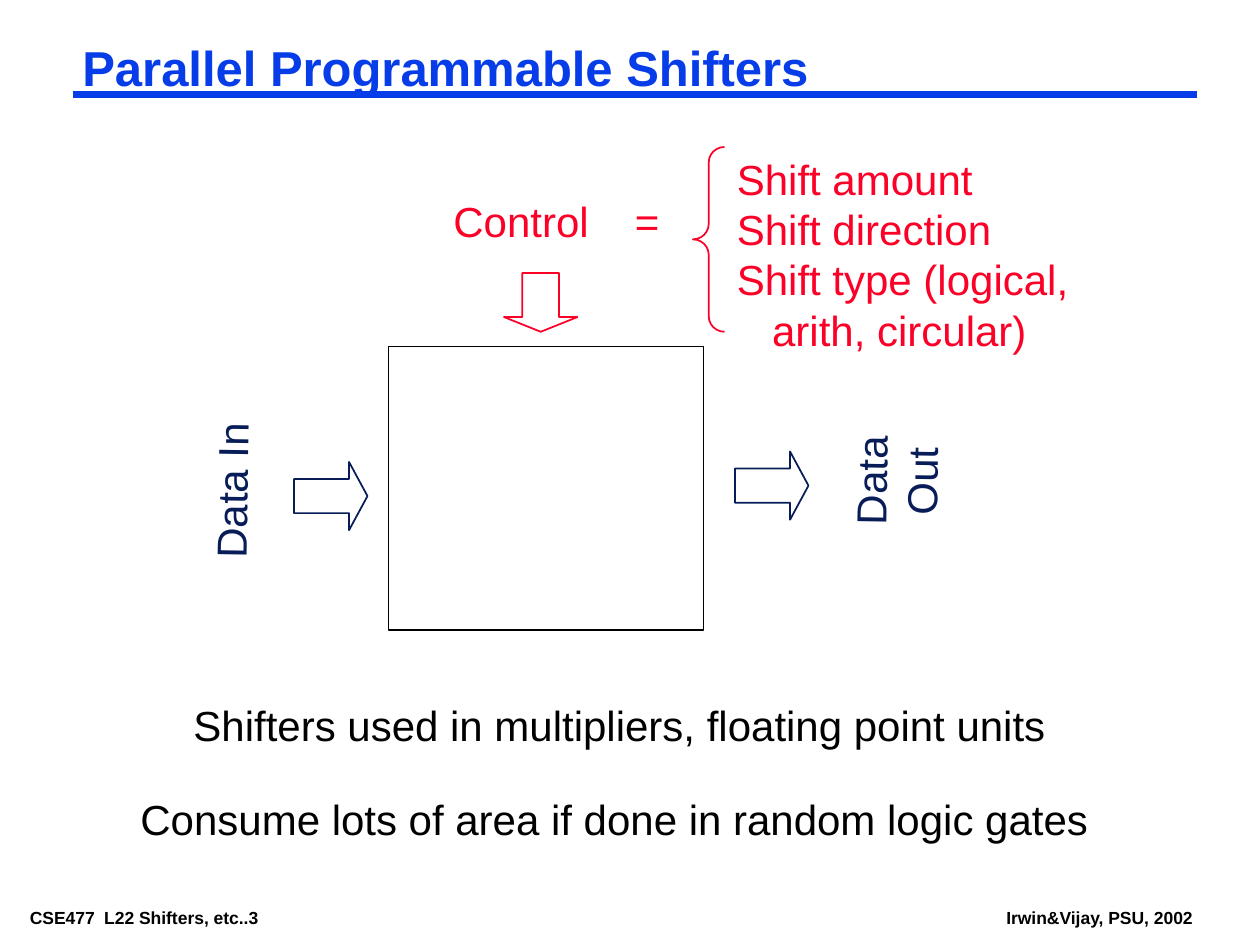
from lxml.etree import SubElement
from pptx import Presentation
from pptx.dml.color import RGBColor
from pptx.enum.shapes import MSO_CONNECTOR, MSO_SHAPE
from pptx.enum.text import MSO_ANCHOR, MSO_AUTO_SIZE, PP_ALIGN
from pptx.oxml.ns import qn
from pptx.util import Inches, Pt

BLUE, NAVY, RED, BLACK = "063DE8", "081D58", "FC0128", "000000"
COLUMNS, ROWS = 120, 90


def color(value):
    return RGBColor.from_string(value)


class SlideBuilder:
    font = "Arial"

    def __init__(self):
        self.deck = Presentation()
        self.deck.slide_width, self.deck.slide_height = Inches(10), Inches(7.5)
        self.page = self.deck.slides.add_slide(self.deck.slide_layouts[5])

    def place(self, column, row, columns=0, rows=0):
        across = self.deck.slide_width / COLUMNS
        down = self.deck.slide_height / ROWS
        return [round(v) for v in
                (column * across, row * down, columns * across, rows * down)]

    def fill_text(self, box, lines, size, ink, bold=False, align=PP_ALIGN.LEFT,
                  margins=(0.1, 0.05), wrap=True, tab=None):
        frame = box.text_frame
        frame.auto_size = MSO_AUTO_SIZE.NONE
        frame.word_wrap = wrap
        frame.vertical_anchor = MSO_ANCHOR.TOP
        frame.margin_left = frame.margin_right = Inches(margins[0])
        frame.margin_top = frame.margin_bottom = Inches(margins[1])
        for index, line in enumerate(lines):
            para = frame.paragraphs[0] if index == 0 else frame.add_paragraph()
            para.alignment = align
            para.space_before = Pt(0)
            if tab:
                stops = SubElement(para._p.get_or_add_pPr(), qn("a:tabLst"))
                SubElement(stops, qn("a:tab"), pos=str(Inches(tab)), algn="l")
            span = para.add_run()
            span.text = line
            span.font.name, span.font.size = self.font, Pt(size)
            span.font.bold = bold
            span.font.color.rgb = color(ink)
        return frame

    def title(self, text, *area):
        box = self.page.shapes.title
        box.left, box.top, box.width, box.height = self.place(*area)
        frame = self.fill_text(box, [text], 28, BLUE, True, margins=(0.07, 0.03))
        frame.paragraphs[0].line_spacing = 0.87

    def label(self, lines, area, ink, size=24, turn=0, **style):
        box = self.page.shapes.add_textbox(*self.place(*area))
        box.rotation = turn
        return self.fill_text(box, lines, size, ink, **style)

    def footer(self, text, *area, tab=None):
        self.label([text], area, BLACK, 10, bold=True, wrap=False,
                   margins=(0.07, 0.03), tab=tab)

    def rule(self, start, end, row):
        left, top, _, _ = self.place(start, row)
        right = self.place(end, row)[0]
        line = self.page.shapes.add_connector(
            MSO_CONNECTOR.STRAIGHT, left, top, right, top)
        line.line.color.rgb, line.line.width = color(BLUE), Pt(4.5)
        SubElement(line._element.spPr, qn("a:effectLst"))

    def outline(self, kind, area, ink, *adjustments):
        shape = self.page.shapes.add_shape(kind, *self.place(*area))
        shape.shadow.inherit = False
        shape.fill.background()
        shape.line.color.rgb, shape.line.width = color(ink), Pt(1)
        for index, value in enumerate(adjustments):
            shape.adjustments[index] = value


def main():
    slide = SlideBuilder()
    slide.footer("CSE477\tL22 Shifters, etc..3", 2, 86, 30.6, 2.6, tab=0.59)
    slide.footer("Irwin&Vijay, PSU, 2002", 95, 86, 19.6, 2.6)
    slide.rule(7, 114, 9)
    slide.title("Parallel Programmable Shifters", 7, 4, 107, 5.5)

    slide.outline(MSO_SHAPE.RECTANGLE, (37, 33, 30, 27), BLACK)
    for column, row in ((28, 44), (70, 43)):
        slide.outline(MSO_SHAPE.RIGHT_ARROW, (column, row, 7, 6.5), NAVY, 0.5, 0.27)
    slide.outline(MSO_SHAPE.DOWN_ARROW, (48, 26, 7, 5.6), RED, 0.5, 0.25)
    slide.outline(MSO_SHAPE.LEFT_BRACE, (66, 14, 3, 17.6), RED, 0.49, 0.5)

    slide.label(["Data In"], (14.4, 43.7, 15.2, 6), NAVY, turn=270.9,
                align=PP_ALIGN.CENTER, wrap=False)
    slide.label(["Data Out"], (76.5, 40.4, 17.6, 10.8), NAVY, turn=270.9,
                align=PP_ALIGN.CENTER)
    slide.label(["Control\t="], (42, 18, 25, 6), RED, tab=1.44)
    controls = slide.label(
        ["Shift amount", "Shift direction", "Shift type (logical,", "arith, circular)"],
        (69, 14, 35, 20.4), RED)
    controls.paragraphs[-1]._p.get_or_add_pPr().set("marL", str(Inches(0.28)))

    for text, area in (
        ("Shifters used in multipliers, floating point units", (16, 66, 86, 6)),
        ("Consume lots of area if done in random logic gates", (12, 75, 93, 6)),
    ):
        slide.label([text], area, BLACK, align=PP_ALIGN.CENTER)
    slide.deck.save("out.pptx")


if __name__ == "__main__":
    main()
